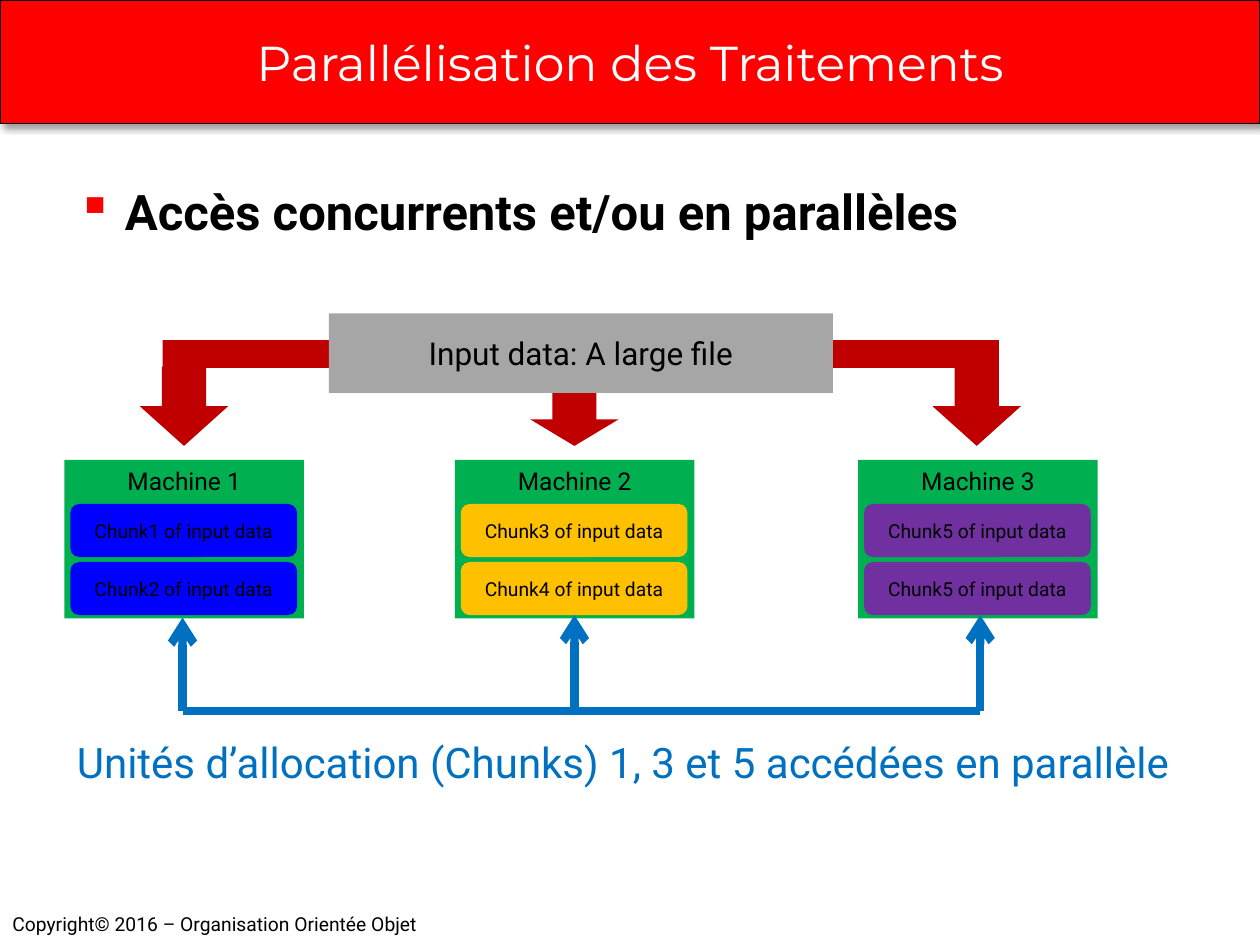
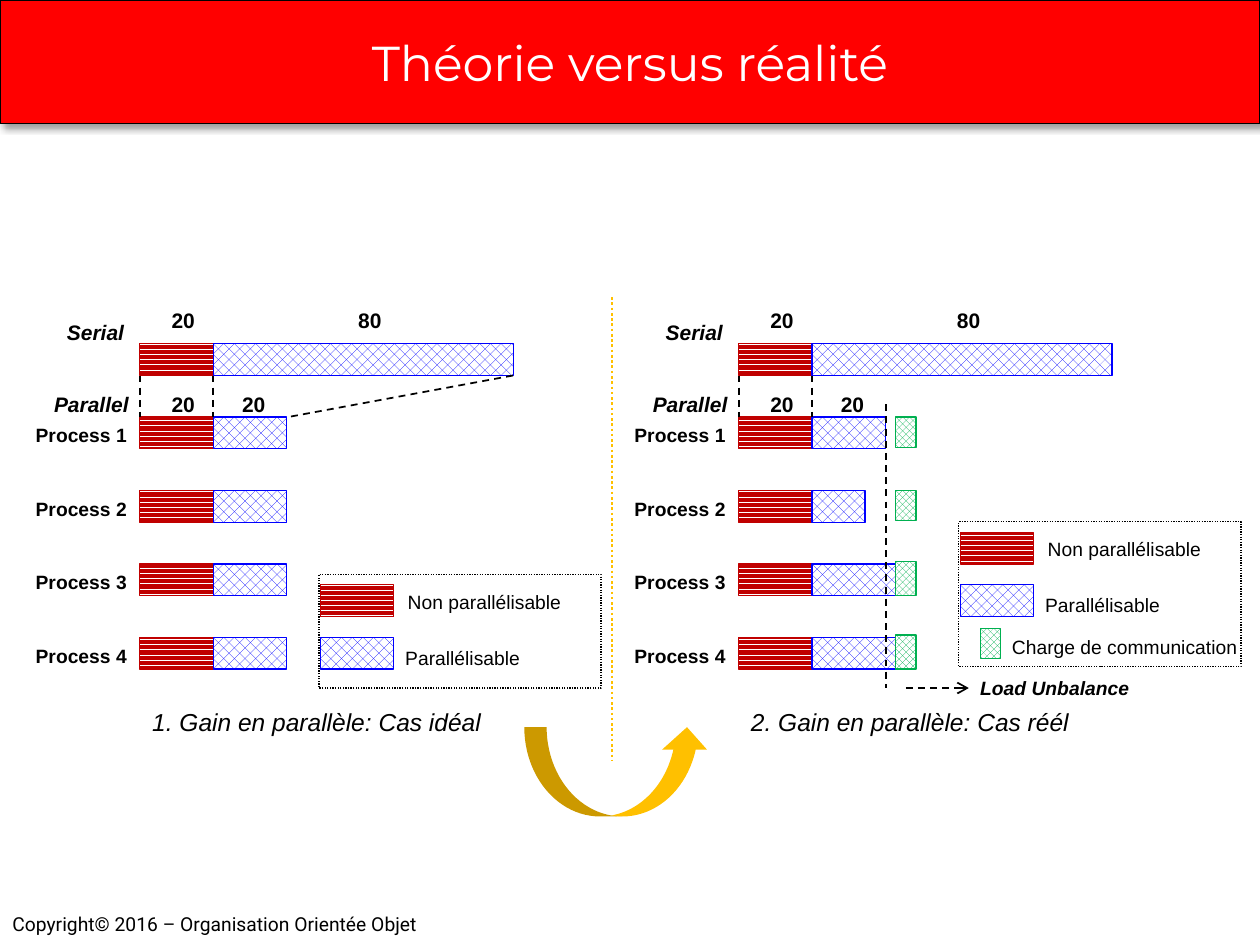
from lxml import etree
from pptx import Presentation
from pptx import util as u
from pptx.dml import color
from pptx.enum import dml, shapes, text
from pptx.oxml import ns

HUES = {
    "black": "000000", "white": "FFFFFF", "red": "FF0000", "brick": "C00000",
    "gray": "A6A6A6", "green": "00B050", "blue": "0000FF", "sky": "0070C0",
    "gold": "FFC000", "plum": "7030A0",
}
KIND = shapes.MSO_SHAPE
PAT = dml.MSO_PATTERN
DASH = dml.MSO_LINE
MID = text.MSO_ANCHOR.MIDDLE
TOP = text.MSO_ANCHOR.TOP
HATCH = {
    "fixed": (PAT.DARK_HORIZONTAL, "brick"),
    "split": (PAT.WEAVE, "blue"),
    "comm": (PAT.LARGE_CHECKER_BOARD, "green"),
}
UNIT = 1.48
BAR = 0.64
ROW = 8.41
SERIAL = 6.93


def hue(name):
    return color.RGBColor.from_string(HUES[name])


def sub(node, tag, **attrs):
    return etree.SubElement(node, ns.qn(tag), attrs)


def style(par, size, font, ink="black", bold=False, slant=False):
    for run in par.runs:
        run.font.size = u.Pt(size)
        run.font.name = font
        run.font.bold = bold
        run.font.italic = slant
        run.font.color.rgb = hue(ink)


def place(box):
    return [u.Cm(side) for side in box]


def block(slide, box, fill=None, kind=KIND.RECTANGLE):
    shape = slide.shapes.add_shape(kind, *place(box))
    shape.shadow.inherit = False
    shape.line.fill.background()
    if fill:
        shape.fill.solid()
        shape.fill.fore_color.rgb = hue(fill)
    else:
        shape.fill.background()
    return shape


def fill_in(shape, words, size, font="Roboto", ink="black", anchor=MID, pad=0.25):
    frame = shape.text_frame
    frame.text = words
    frame.word_wrap = True
    frame.vertical_anchor = anchor
    frame.margin_left = frame.margin_right = u.Cm(pad)
    par = frame.paragraphs[0]
    par.alignment = text.PP_ALIGN.CENTER
    style(par, size, font, ink)


def label(slide, box, words, size, font="Arial", pad=None, wrap=False, **look):
    frame = slide.shapes.add_textbox(*place(box)).text_frame
    frame.text = words
    frame.word_wrap = wrap
    if pad is not None:
        frame.margin_left = frame.margin_right = u.Cm(pad)
        frame.margin_top = frame.margin_bottom = u.Cm(pad)
    style(frame.paragraphs[0], size, font, **look)
    return frame.paragraphs[0]


def tag(slide, x, y, wide, words, size=11, **look):
    label(slide, (x, y, wide, 0.48), words, size, pad=0, **look)


def rule(slide, start, end, ink="black", width=1, dash=None, head=False):
    line = slide.shapes.add_connector(
        shapes.MSO_CONNECTOR.STRAIGHT, *place(start + end))
    line.line.color.rgb = hue(ink)
    line.line.width = u.Pt(width)
    if dash:
        line.line.dash_style = dash
    if head:
        sub(line.line._get_or_add_ln(), "a:tailEnd", type="arrow")
    sub(line._element.spPr, "a:effectLst")


def edge(shape, ink, width=0.75):
    shape.line.color.rgb = hue(ink)
    shape.line.width = u.Pt(width)


def bar(slide, kind, x, y, wide=UNIT, high=BAR):
    mesh, ink = HATCH[kind]
    shape = block(slide, (x, y, wide, high))
    shape.fill.patterned()
    shape.fill.pattern = mesh
    shape.fill.fore_color.rgb = hue(ink)
    shape.fill.back_color.rgb = hue("white")
    edge(shape, ink)


def start(deck, title):
    slide = deck.slides.add_slide(deck.slide_layouts[6])
    label(slide, (0, 18.26, 25.4, 0.74),
          "Copyright© 2016 – Organisation Orientée Objet", 11, "Roboto", wrap=True)
    band = block(slide, (0, 0, 25.4, 2.49), "red")
    edge(band, "black")
    glow = sub(band._element.spPr.find(ns.qn("a:effectLst")), "a:outerShdw",
               blurRad=str(u.Pt(4)), dist=str(u.Pt(3)), dir="2700000",
               algn="tl", rotWithShape="0")
    shade = sub(glow, "a:srgbClr", val=HUES["black"])
    sub(shade, "a:alpha", val="40000")
    fill_in(band, title, 28, "Montserrat", "white")
    return slide


def point(slide, box, words):
    par = label(slide, box, words, 28, "Roboto", wrap=True, bold=True)
    props = par._p.get_or_add_pPr()
    props.set("marL", str(u.Cm(0.97)))
    props.set("indent", str(u.Cm(-0.97)))
    tint = sub(props, "a:buClr")
    sub(tint, "a:srgbClr", val=HUES["red"])
    sub(props, "a:buChar", char="▪")


def node(slide, x, name, fill, chunks):
    host = block(slide, (x, 9.27, 4.83, 3.2), "green")
    fill_in(host, name, 14, anchor=TOP)
    for i, chunk in enumerate(chunks):
        part = block(slide, (x + 0.12, 10.16 + 1.17 * i, 4.57, 1.07),
                     fill, KIND.ROUNDED_RECTANGLE)
        fill_in(part, f"Chunk{chunk} of input data", 11, pad=0)


def access(deck):
    slide = start(deck, "Parallélisation des Traitements")
    point(slide, (1.3, 3.53, 22.81, 14.2), "Accès concurrents et/ou en parallèles")
    for x, y, high in ((2.82, 7.39, 1.6), (10.69, 7.92, 1.07), (18.8, 7.39, 1.6)):
        block(slide, (x, y, 1.78, high), "brick", KIND.DOWN_ARROW)
    for x in (3.28, 16.79):
        block(slide, (x, 6.86, 3.35, 0.56), "brick")
    fill_in(block(slide, (6.63, 6.32, 10.16, 1.6), "gray"),
            "Input data: A large file", 18)
    node(slide, 1.3, "Machine 1", "blue", (1, 2))
    node(slide, 9.17, "Machine 2", "gold", (3, 4))
    node(slide, 17.3, "Machine 3", "plum", (5, 5))
    for x, tip in ((3.68, 12.45), (11.58, 12.4), (19.76, 12.4)):
        rule(slide, (x, 14.33), (x, tip), "sky", 4.75, head=True)
    rule(slide, (3.68, 14.33), (19.76, 14.33), "sky", 4.75)
    label(slide, (1.3, 14.73, 22.83, 1.27),
          "Unités d’allocation (Chunks) 1, 3 et 5 accédées en parallèle",
          24, "Roboto", ink="sky")


def panel(slide, x, widths, title, wide):
    bar(slide, "fixed", x, SERIAL)
    bar(slide, "split", x + UNIT, SERIAL, 6.05)
    for i, width in enumerate(widths):
        y = ROW + UNIT * i
        bar(slide, "fixed", x, y)
        bar(slide, "split", x + UNIT, y, width)
        tag(slide, x - 2.1, y + 0.13, 1.85, f"Process {i + 1}", bold=True)
    for dx, y, count in ((0.64, 6.2, 20), (4.4, 6.2, 80),
                         (0.64, 7.89, 20), (2.06, 7.89, 20)):
        tag(slide, x + dx, y, 0.48, str(count), 12, bold=True)
    tag(slide, x - 1.47, 6.45, 1.17, "Serial", 12, bold=True, slant=True)
    tag(slide, x - 1.73, 7.89, 1.52, "Parallel", 12, bold=True, slant=True)
    for side in (x, x + UNIT):
        rule(slide, (side, SERIAL + BAR), (side, ROW), dash=DASH.DASH)
    label(slide, (x, 14.12, wide, 0.86), title, 14, slant=True)


def legend(slide, x, y, high):
    bar(slide, "fixed", x + 0.03, y + 0.21)
    bar(slide, "split", x + 0.03, y + 1.27)
    tag(slide, x + 1.79, y + 0.31, 3.12, "Non parallélisable")
    tag(slide, x + 1.74, y + 1.44, 2.34, "Parallélisable")
    frame = block(slide, (x, y, 5.69, high))
    edge(frame, "black")
    frame.line.dash_style = DASH.ROUND_DOT


def theory(deck):
    slide = start(deck, "Théorie versus réalité")
    panel(slide, 2.82, [UNIT] * 4, "1. Gain en parallèle: Cas idéal", 7.16)
    rule(slide, (10.34, SERIAL + BAR), (5.79, ROW), dash=DASH.DASH)
    legend(slide, 6.43, 11.58, 2.29)
    panel(slide, 14.89, (UNIT, 1.07, 1.68, 1.7),
          "2. Gain en parallèle: Cas réél", 6.96)
    legend(slide, 19.33, 10.52, 2.92)
    for i, (rise, high) in enumerate(((0, 0.61), (0, 0.61), (0.05, 0.69), (0.05, 0.69))):
        bar(slide, "comm", 18.06, ROW + UNIT * i - rise, 0.41, high)
    rule(slide, (17.86, 8.15), (17.86, 13.87), dash=DASH.DASH)
    rule(slide, (18.26, 13.87), (19.53, 13.87), dash=DASH.DASH, head=True)
    tag(slide, 19.76, 13.64, 3.02, "Load Unbalance", bold=True, slant=True)
    bar(slide, "comm", 19.76, 12.67, 0.41, 0.61)
    tag(slide, 20.4, 12.8, 4.57, "Charge de communication")
    rule(slide, (12.34, 5.99), (12.34, 15.32), "gold", 1.5, DASH.ROUND_DOT)
    block(slide, (10.57, 14.66, 3.73, 1.8), "gold", KIND.CURVED_UP_ARROW)


def main():
    deck = Presentation()
    deck.slide_width = u.Cm(25.4)
    deck.slide_height = u.Cm(19.05)
    access(deck)
    theory(deck)
    deck.save("out.pptx")


if __name__ == "__main__":
    main()
